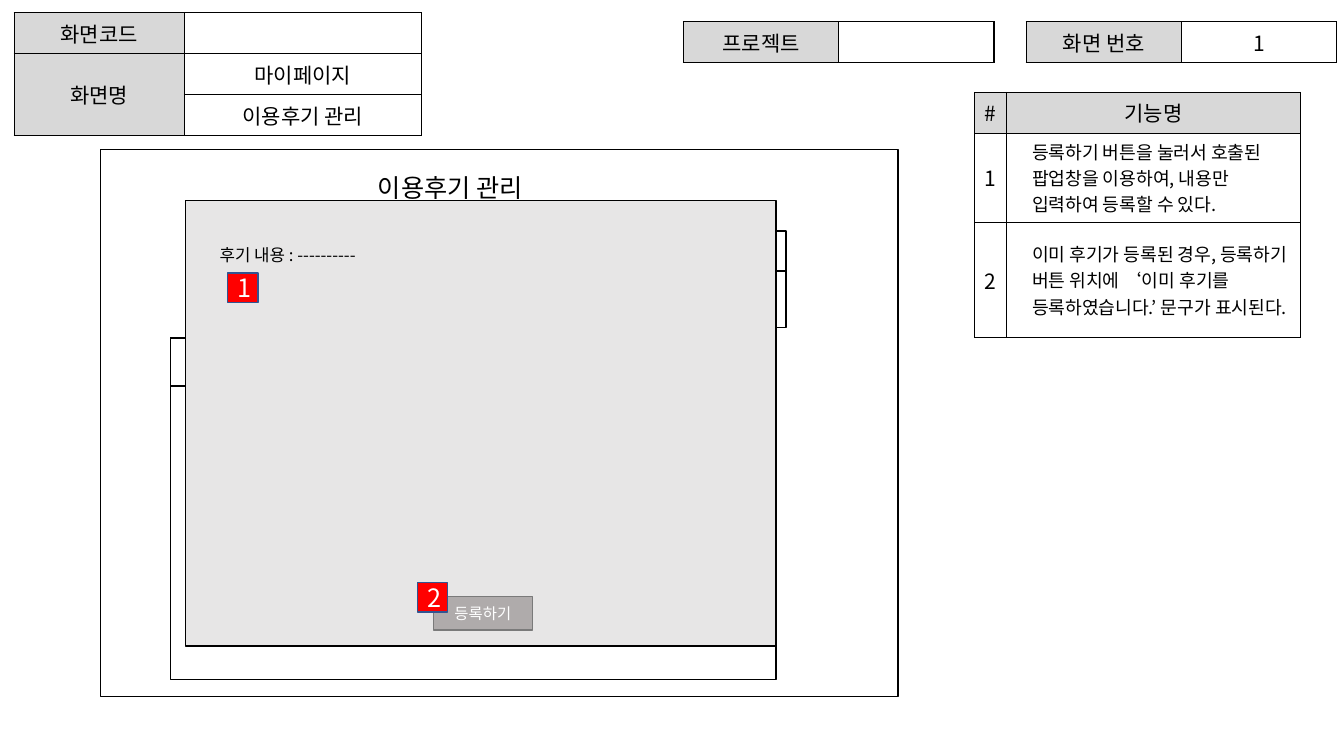
from lxml import etree
from pptx import Presentation
from pptx.dml.color import RGBColor
from pptx.enum.shapes import MSO_SHAPE
from pptx.enum.text import MSO_ANCHOR, PP_ALIGN
from pptx.oxml.ns import qn
from pptx.util import Pt

FONT = "Noto Sans CJK KR"
BLACK, WHITE, RED = "000000", "FFFFFF", "FF0000"
LABEL_GRAY, POPUP_GRAY, BUTTON_GRAY = "D8D8D8", "E7E6E6", "AFABAB"
BUTTON_EDGE, BLUE_EDGE = "7A7A7A", "325491"
RECTANGLE, TRIANGLE = MSO_SHAPE.RECTANGLE, MSO_SHAPE.ISOSCELES_TRIANGLE
LEFT, CENTER = PP_ALIGN.LEFT, PP_ALIGN.CENTER
MIDDLE = MSO_ANCHOR.MIDDLE
BODY_SIZE, HEADER_ROW = 15, 29.2


def color(value):
    return RGBColor.from_string(value)


def write_text(frame, text, size, text_color=BLACK, align=CENTER, indent=0):
    para = frame.paragraphs[0]
    para.text = text
    para.alignment = align
    properties = para._p.get_or_add_pPr()
    if indent:
        properties.set("marL", str(Pt(indent)))
    para.font.name = FONT
    para.font.size = Pt(size)
    para.font.color.rgb = color(text_color)
    etree.SubElement(properties.find(qn("a:defRPr")), qn("a:ea"), typeface=FONT)


def add_box(slide, left, top, width, height, fill=None, line=BLACK, kind=RECTANGLE):
    box = slide.shapes.add_shape(kind, Pt(left), Pt(top), Pt(width), Pt(height))
    box.shadow.inherit = False
    if fill:
        box.fill.solid()
        box.fill.fore_color.rgb = color(fill)
    else:
        box.fill.background()
    box.line.color.rgb = color(line)
    box.line.width = Pt(1)
    return box


def add_button(slide, left, top, width, height, text, size, fill, line):
    button = add_box(slide, left, top, width, height, fill, line)
    button.text_frame.vertical_anchor = MIDDLE
    write_text(button.text_frame, text, size, WHITE)


def add_marker(slide, left, top, number):
    add_button(slide, left, top, 21.6, 20.9, number, 18, RED, BLUE_EDGE)


def add_label(slide, left, top, width, height, text, size):
    label = slide.shapes.add_textbox(Pt(left), Pt(top), Pt(width), Pt(height))
    label.text_frame.word_wrap = True
    write_text(label.text_frame, text, size, align=LEFT)


def add_borders(cell):
    properties = cell._tc.get_or_add_tcPr()
    for side in ("a:lnL", "a:lnR", "a:lnT", "a:lnB"):
        border = etree.SubElement(properties, qn(side), w=str(Pt(1)))
        fill = etree.SubElement(border, qn("a:solidFill"))
        etree.SubElement(fill, qn("a:srgbClr"), val=BLACK)


def fill_cell(cell, text, is_label, is_note):
    add_borders(cell)
    cell.fill.solid()
    cell.fill.fore_color.rgb = color(LABEL_GRAY if is_label else WHITE)
    cell.vertical_anchor = MIDDLE
    if is_note:
        write_text(cell.text_frame, text, 13, align=LEFT, indent=10.8)
    elif text:
        write_text(cell.text_frame, text, BODY_SIZE)
    else:
        cell.margin_top = cell.margin_bottom = 0


def add_grid(slide, left, top, widths, heights, rows, header_row=False):
    frame = slide.shapes.add_table(len(rows), len(widths), Pt(left), Pt(top),
                                   Pt(sum(widths)), Pt(sum(heights)))
    table = frame.table
    table.first_row = table.horz_banding = False
    for column, width in zip(table.columns, widths):
        column.width = Pt(width)
    for row, height in zip(table.rows, heights):
        row.height = Pt(height)
    for row_index, row in enumerate(rows):
        for column_index, text in enumerate(row):
            is_label = row_index == 0 if header_row else column_index == 0
            is_note = header_row and row_index > 0 and column_index == 1
            fill_cell(table.cell(row_index, column_index), text, is_label, is_note)
    return table


def add_tables(slide):
    screen = add_grid(slide, 10.1, 9.1, [121.7, 169.2], [HEADER_ROW] * 3, [
        ["화면코드", ""],
        ["화면명", "마이페이지"],
        ["", "이용후기 관리"],
    ])
    screen.cell(1, 0).merge(screen.cell(2, 0))
    for left, name, value in ((733, "화면 번호", "1"), (488.2, "프로젝트", "")):
        add_grid(slide, left, 15.5, [110.9] * 2, [HEADER_ROW], [[name, value]])
    add_grid(slide, 696.2, 66, [23, 209.5], [HEADER_ROW, 63.6, 82.4], [
        ["#", "기능명"],
        ["1", "등록하기 버튼을 눌러서 호출된 팝업창을 이용하여, 내용만 입력하여 등록할 수 있다."],
        ["2", "이미 후기가 등록된 경우, 등록하기 버튼 위치에 ‘이미 후기를 등록하였습니다.’ "
              "문구가 표시된다."],
    ], header_row=True)


def add_page_mockup(slide):
    add_box(slide, 72, 106.6, 569.5, 391)
    add_label(slide, 262.8, 119.5, 187.9, 28.8, "이용후기 관리", 18)
    add_box(slide, 439.9, 164.9, 121.7, 28.8)
    arrow = add_box(slide, 537.1, 175.7, 17.3, 13.7, BLACK, BLUE_EDGE, TRIANGLE)
    arrow.rotation = 180
    add_box(slide, 439.9, 193.7, 121.7, 40.3)
    add_box(slide, 121.7, 241.2, 432.7, 244.1)
    add_box(slide, 121.7, 241.9, 432.7, 33.8)


def add_popup(slide):
    add_box(slide, 132.5, 143.3, 421.9, 318.2, POPUP_GRAY)
    add_label(slide, 149.8, 171.4, 199.4, 21.6, "후기 내용 : ----------", 12)
    add_button(slide, 309.6, 426.2, 70.6, 23.8, "등록하기", 11, BUTTON_GRAY, BUTTON_EDGE)
    add_marker(slide, 162.7, 195.1, "1")
    add_marker(slide, 298.1, 416.2, "2")


def main():
    deck = Presentation()
    deck.slide_width, deck.slide_height = Pt(960), Pt(540)
    slide = deck.slides.add_slide(deck.slide_layouts[6])
    add_tables(slide)
    add_page_mockup(slide)
    add_popup(slide)
    deck.save("out.pptx")


if __name__ == "__main__":
    main()
